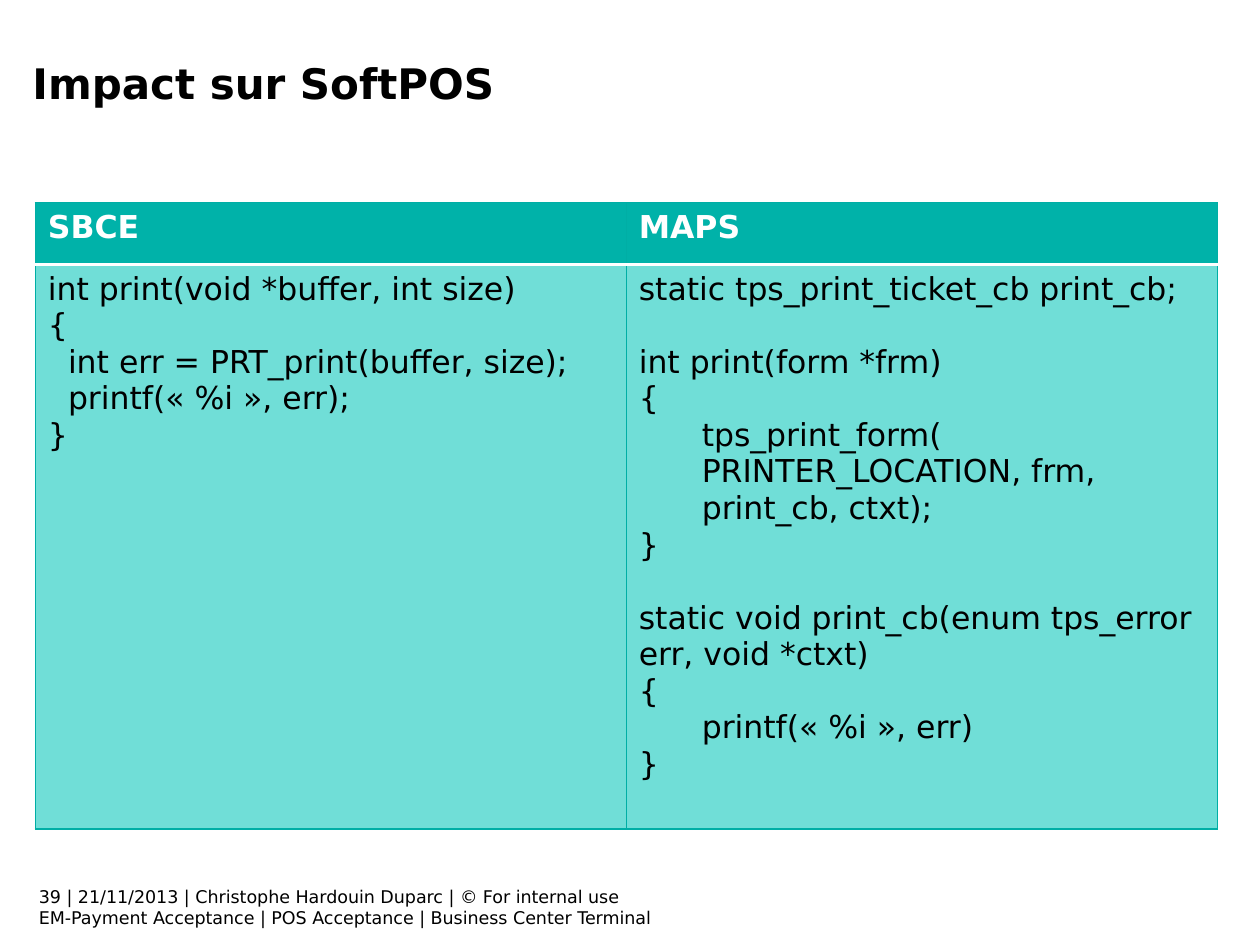
from pptx import Presentation
from pptx.dml.color import RGBColor
from pptx.enum.text import MSO_ANCHOR
from pptx.oxml import parse_xml
from pptx.oxml.ns import nsdecls
from pptx.util import Inches, Pt

FONT = "DejaVu Sans"
TEAL, EDGE, PALE = "00B2A9", "00AEA5", "70DED7"
BLACK, WHITE = "000000", "FFFFFF"
BLANK_LINE = Pt(20.95)

HEADINGS = ["SBCE", "MAPS"]
SBCE_CODE = [
    ("int print(void *buffer, int size)", 0, False),
    ("{", 0, False),
    ("int err = PRT_print(buffer, size);", 0.16, False),
    ("printf(«\u00a0%i\u00a0», err);", 0.16, False),
    ("}", 0, False),
]
MAPS_CODE = [
    ("static tps_print_ticket_cb print_cb;", 0, False),
    ("int print(form *frm)", 0, True),
    ("{", 0, False),
    ("tps_print_form(", 0.5, False),
    ("PRINTER_LOCATION, frm, print_cb, ctxt);", 0.5, False),
    ("}", 0, False),
    ("static void print_cb(enum tps_error err, void *ctxt)", 0, True),
    ("{", 0, False),
    ("printf(« %i\u00a0», err)", 0.5, False),
    ("}", 0, False),
]
FOOTER = [
    "39 | 21/11/2013 | Christophe Hardouin Duparc | © For internal use",
    "EM-Payment Acceptance | POS Acceptance | Business Center Terminal",
]


def color(value):
    return RGBColor.from_string(value)


def write(frame, lines, size, ink=BLACK, bold=False):
    for index, (text, indent, gap) in enumerate(lines):
        para = frame.paragraphs[0] if index == 0 else frame.add_paragraph()
        para.text = text
        if gap:
            para.space_before = BLANK_LINE
        if indent:
            properties = para._p.get_or_add_pPr()
            properties.set("marL", str(Inches(indent)))
            properties.set("indent", "0")
        for span in para.runs:
            span.font.name = FONT
            span.font.size = Pt(size)
            span.font.bold = bold
            span.font.color.rgb = color(ink)


def add_text(page, box, lines, size, bold=False, wrap=True):
    frame = page.shapes.add_textbox(*map(Inches, box)).text_frame
    frame.word_wrap = wrap
    frame.vertical_anchor = MSO_ANCHOR.TOP
    write(frame, [(line, 0, False) for line in lines], size, bold=bold)


def style_cell(cell, fill, borders):
    cell.fill.solid()
    cell.fill.fore_color.rgb = color(fill)
    properties = cell._tc.get_or_add_tcPr()
    for index, side in enumerate("LRTB"):
        ink, width = borders[side]
        properties.insert(index, parse_xml(
            f'<a:ln{side} {nsdecls("a")} w="{Pt(width)}"><a:solidFill>'
            f'<a:srgbClr val="{ink}"/></a:solidFill></a:ln{side}>'))


def add_comparison(page, box):
    left, top, width, height = box
    header_height = 0.49
    table = page.shapes.add_table(2, 2, *map(Inches, box)).table
    table.rows[0].height = Inches(header_height)
    table.rows[1].height = Inches(height - header_height)
    edges = dict.fromkeys("LRTB", (EDGE, 0.75))
    divider = (WHITE, 2)
    for column, code in enumerate([SBCE_CODE, MAPS_CODE]):
        table.columns[column].width = Inches(width / 2)
        heading, body = table.cell(0, column), table.cell(1, column)
        write(heading.text_frame, [(HEADINGS[column], 0, False)], 18, WHITE, True)
        write(body.text_frame, code, 18)
        style_cell(heading, TEAL, {**edges, "B": divider})
        style_cell(body, PALE, {**edges, "T": divider})


def main():
    deck = Presentation()
    deck.slide_width, deck.slide_height = Inches(10), Inches(7.5)
    page = deck.slides.add_slide(deck.slide_layouts[6])
    add_text(page, (0.21, 6.98, 5.19, 0.44), FOOTER, 10, wrap=False)
    add_text(page, (0.16, 0.41, 9.57, 0.83), ["Impact sur SoftPOS"], 24, bold=True)
    add_comparison(page, (0.28, 1.61, 9.38, 4.97))
    deck.save("out.pptx")


if __name__ == "__main__":
    main()
